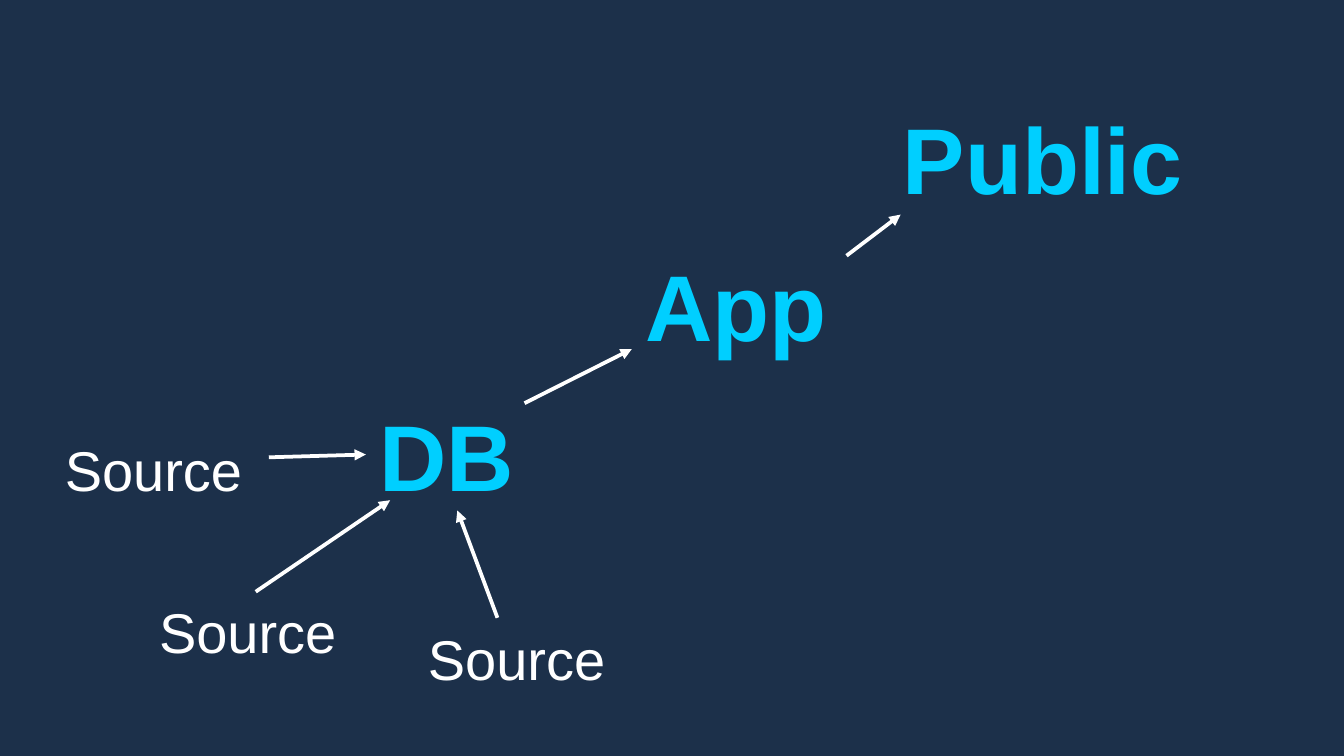
import pptx
import pptx.dml.color
import pptx.enum.shapes
import pptx.enum.text
import pptx.oxml.ns
import pptx.util
from lxml import etree

Pt = pptx.util.Pt
NAVY = pptx.dml.color.RGBColor(0x1C, 0x30, 0x4A)
CYAN = pptx.dml.color.RGBColor(0x00, 0xCF, 0xFF)
WHITE = pptx.dml.color.RGBColor(0xFF, 0xFF, 0xFF)
qn = pptx.oxml.ns.qn

STAGE_SIZE = (200, 66)
STAGES = [("Public", 476.5, 42), ("App", 338.5, 121), ("DB", 196, 201.5)]
SOURCE_SIZE = (174, 65)
SOURCES = [(-8.5, 223), (42, 309.5), (186, 324)]
ARROWS = [
    ((144, 245), (196, 243.5)),
    ((137, 317), (209, 268)),
    ((266.5, 331), (245, 273.5)),
    ((281, 216), (338.5, 187)),
    ((453.5, 137), (482.5, 115)),
]


def place_label(shape, text, box, size, color, bold, top_inset, indent):
    shape.left, shape.top, shape.width, shape.height = map(Pt, box)
    frame = shape.text_frame
    frame.word_wrap = True
    frame.auto_size = pptx.enum.text.MSO_AUTO_SIZE.NONE
    frame.vertical_anchor = pptx.enum.text.MSO_ANCHOR.TOP
    frame.margin_left = frame.margin_right = Pt(7.2)
    frame.margin_top, frame.margin_bottom = Pt(top_inset), Pt(0)
    para = frame.paragraphs[0]
    para.alignment = pptx.enum.text.PP_ALIGN.LEFT
    para.line_spacing = 1.0
    para.space_before = para.space_after = Pt(0)
    properties = para._p.get_or_add_pPr()
    properties.set("marL", str(Pt(indent)))
    properties.set("indent", "0")
    etree.SubElement(properties, qn("a:buNone"))
    span = para.add_run()
    span.text = text
    span.font.name = "Arial"
    span.font.size = Pt(size)
    span.font.bold = bold
    span.font.color.rgb = color


def add_stages(page):
    for number, (name, left, top) in enumerate(STAGES):
        box = (left, top, *STAGE_SIZE)
        shape = page.shapes.add_textbox(*map(Pt, box)) if number else page.shapes.title
        place_label(shape, name, box, 50, CYAN, True, 12, 0)


def add_sources(page):
    bodies = [shape for shape in page.placeholders if shape.placeholder_format.idx in range(1, 5)]
    for shape, (left, top) in zip(bodies, SOURCES):
        place_label(shape, "Source", (left, top, *SOURCE_SIZE), 30, WHITE, False, 10.5, 36)
    for shape in bodies[len(SOURCES):]:
        shape.element.getparent().remove(shape.element)


def add_arrow(page, start, end):
    arrow = page.shapes.add_connector(
        pptx.enum.shapes.MSO_CONNECTOR.STRAIGHT, *map(Pt, start + end)
    )
    arrow.line.color.rgb = WHITE
    arrow.line.width = Pt(0)
    line = arrow.line._get_or_add_ln()
    etree.SubElement(line, qn("a:tailEnd"), type="triangle")
    etree.SubElement(arrow.element.spPr, qn("a:effectLst"))


def main():
    deck = pptx.Presentation()
    deck.slide_width, deck.slide_height = Pt(720), Pt(405)
    page = deck.slides.add_slide(deck.slide_layouts.get_by_name("Comparison"))
    page.background.fill.solid()
    page.background.fill.fore_color.rgb = NAVY
    add_stages(page)
    add_sources(page)
    for start, end in ARROWS:
        add_arrow(page, start, end)
    deck.save("out.pptx")


if __name__ == "__main__":
    main()
